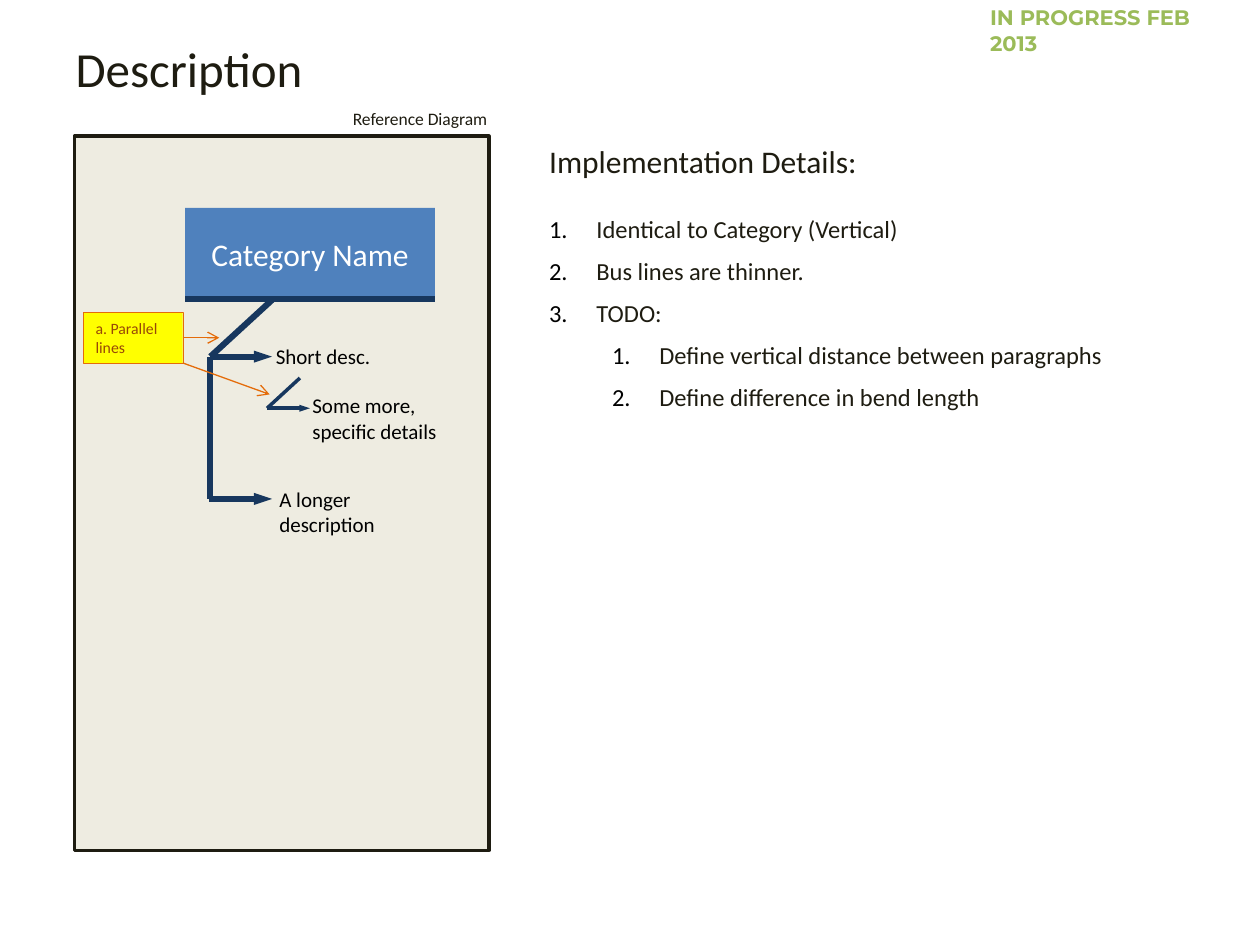
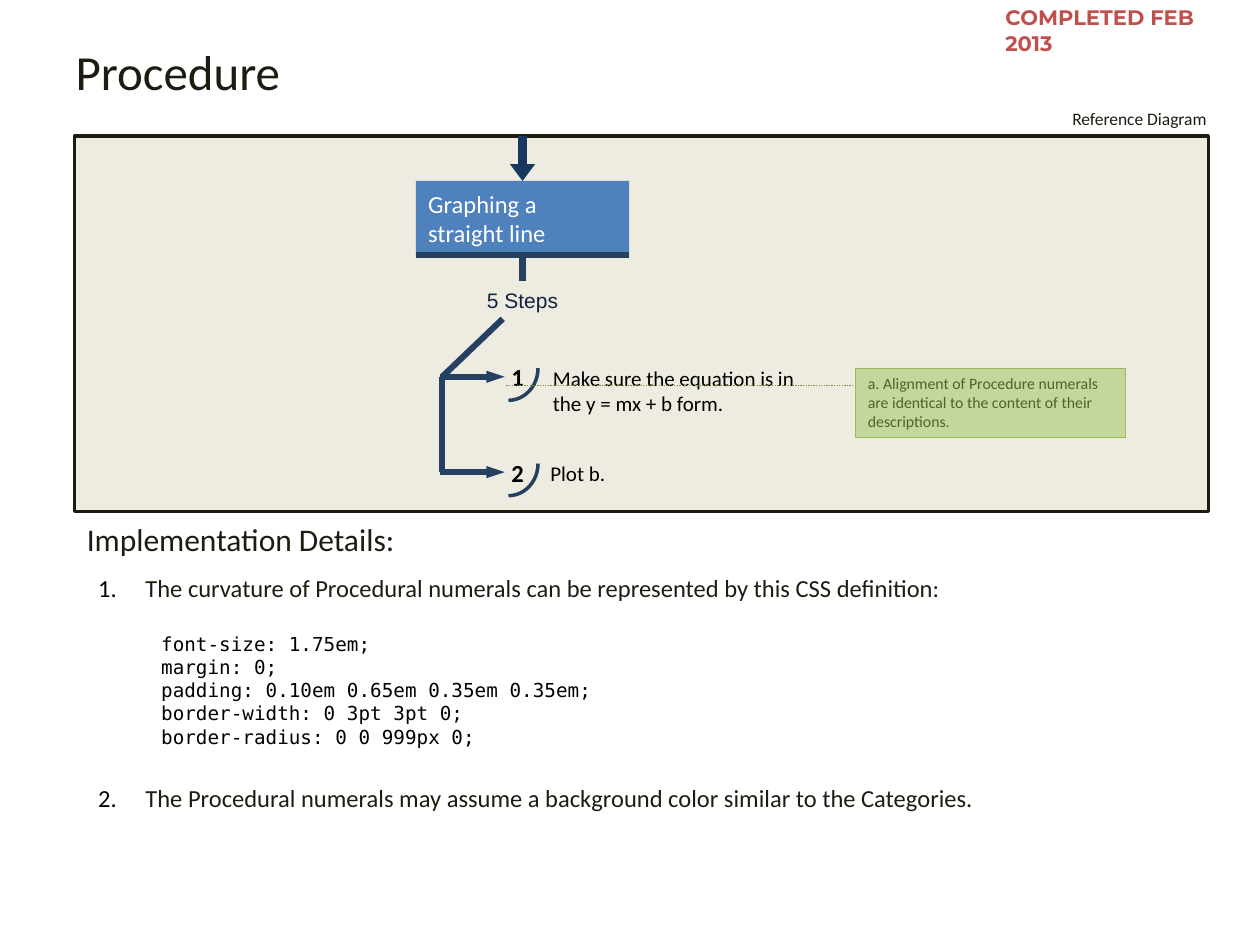
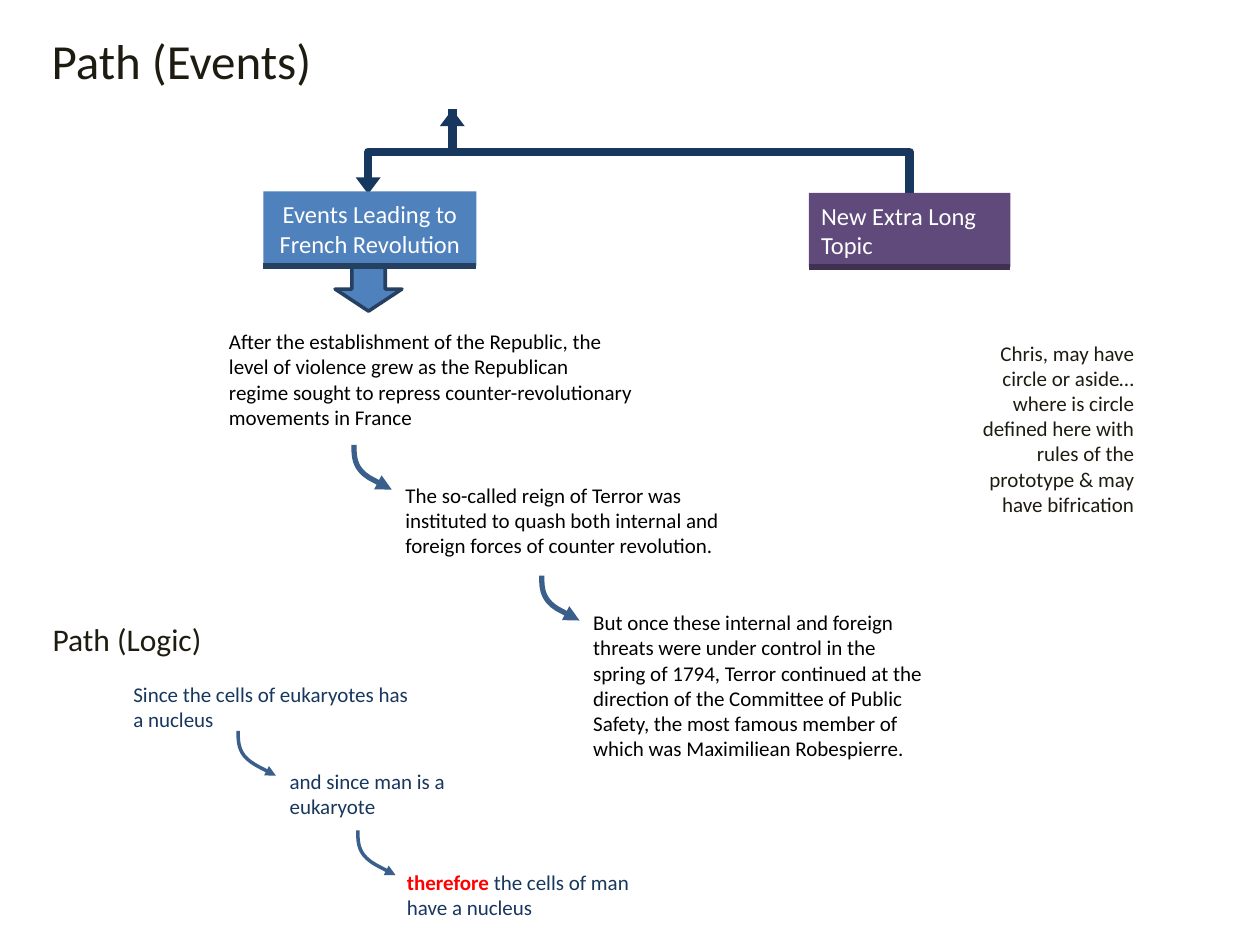
import pptx
import pptx.dml.color
import pptx.enum.dml
import pptx.enum.shapes
import pptx.enum.text
import pptx.oxml.ns
import pptx.util
from lxml import etree

Pt = pptx.util.Pt
SHAPE = pptx.enum.shapes.MSO_SHAPE
CONNECTOR = pptx.enum.shapes.MSO_CONNECTOR
ALIGN = pptx.enum.text.PP_ALIGN
ANCHOR = pptx.enum.text.MSO_ANCHOR
AUTO_SIZE = pptx.enum.text.MSO_AUTO_SIZE
qn = pptx.oxml.ns.qn

INK, PAPER, BLACK, WHITE = "1E1C11", "EEECE1", "000000", "FFFFFF"
NAVY, STEEL, CURVE, BLUE = "17375E", "254061", "3A5F8B", "4F81BD"
PURPLE, PLUM, ORANGE, RED = "604A7B", "403152", "E46C0A", "FF0000"
BODY, CODE = "Calibri", "DejaVu Sans Mono"
TOP, RIGHT, BOTTOM = 0, 3, 2
HAIRLINE = 0.1

# Arrowheads: type, width, length
SLIM = ("triangle", "sm", "med")
BROAD = ("triangle", "med", "sm")
FULL = ("triangle", "med", "med")
OPEN = ("arrow", "med", "med")

# Content: boxes are left, top, width, height
DESCRIPTION_DETAILS = [
    ("Identical to Category (Vertical)", 0),
    ("Bus lines are thinner.", 0),
    ("TODO:", 0),
    ("Define vertical distance between paragraphs", 1),
    ("Define difference in bend length", 1),
]
DESCRIPTIONS = [
    ("Some more, specific details", (171.4, 221, 101.5, 33)),
    ("Short desc.", (150.5, 193, 98, 31)),
    ("A longer description", (152.6, 274.3, 100, 31)),
]
# Start, end, width, arrowhead
DESCRIPTION_BUS = [
    ((155.5, 171.4), (120.2, 203.8), 3.5, None),
    ((120.2, 203.8), (155.5, 203.8), 3.5, SLIM),
    ((120.2, 203.8), (120.2, 285.1), 3.5, None),
    ((119.5, 285.1), (155.5, 285.1), 3.5, SLIM),
    ((171.4, 216), (152.6, 233.3), 2, None),
    ((152.6, 233.3), (177.1, 233.3), 2, SLIM),
]

CSS_INTRO = "The curvature of Procedural numerals can be represented by this CSS definition:"
CSS_LINES = [
    "font-size: 1.75em;",
    "margin: 0;",
    "padding: 0.10em 0.65em 0.35em 0.35em;",
    "border-width: 0 3pt 3pt 0;",
    "border-radius: 0 0 999px 0;",
]
CSS_NOTE = "The Procedural numerals may assume a background color similar to the Categories."
# Text, left, width, height of the arrow leading to it
STEPS = [
    ("Make sure the equation is in the y = mx + b form.", 308.9, 159.8, 215.3),
    ("Plot b.", 307.4, 126, 269.8),
]
BUS_X = 252.7

EVENTS = [
    ("After the establishment of the Republic, the level of violence grew as the Republican "
     "regime sought to repress counter-revolutionary movements in France",
     (123.8, 184.3, 244.8, 64.8)),
    ("The so-called reign of Terror was instituted to quash both internal and foreign forces "
     "of counter revolution.\u00a0", (224.6, 272.2, 202.3, 50.4)),
    ("But once these internal and foreign threats were under control in the spring of 1794, "
     "Terror continued at the direction of the Committee of Public Safety, the most famous "
     "member of which was Maximiliean Robespierre.", (331.9, 344.9, 207.4, 93.6)),
]
PREMISES = [
    ("Since the cells of eukaryotes has a nucleus", (69.1, 382.3, 176.4, 42.5)),
    ("and since man is a eukaryote", (158.4, 430.6, 137.5, 46.1)),
]
CONCLUSION = ("therefore", " the cells of man have a nucleus")
ASIDE = ("Chris, may have circle or aside… where is circle defined here with rules of the "
         "prototype & may have bifrication")
EVENT_CURVES = [(202.3, 254.2), (309.6, 329)]
LOGIC_CURVES = [(136.1, 417.6), (204.5, 474.5)]
# Two Bézier segments, relative to the start
CURVE_POINTS = [(0, 5), (0, 10), (3.6, 14.4), (7.2, 18.6), (21.6, 25.6), (21.6, 25.6)]


def rgb(colour):
    return pptx.dml.color.RGBColor.from_string(colour)


def pts(*lengths):
    return [Pt(length) for length in lengths]


def style(font, size, colour, name=BODY, bold=None):
    font.size, font.name, font.bold = Pt(size), name, bold
    font.color.rgb = rgb(colour)


def paint(shape, fill=None, line=None, width=HAIRLINE):
    shape.shadow.inherit = False
    if fill:
        shape.fill.solid()
        shape.fill.fore_color.rgb = rgb(fill)
    else:
        shape.fill.background()
    if line:
        shape.line.color.rgb = rgb(line)
        shape.line.width = Pt(width)
    else:
        shape.line.fill.background()


def write(shape, text, size, colour, align=ALIGN.LEFT, anchor=ANCHOR.TOP, wrap=True,
          name=BODY, bold=None):
    frame = shape.text_frame
    frame.word_wrap = wrap
    frame.vertical_anchor = anchor
    frame.text = text
    frame.paragraphs[0].alignment = align
    style(frame.paragraphs[0].font, size, colour, name, bold)


def add_text(slide, box, text, size=12, colour=BLACK, **options):
    label = slide.shapes.add_textbox(*pts(*box))
    write(label, text, size, colour, **options)
    if not options.get("wrap", True):
        label.text_frame.auto_size = AUTO_SIZE.SHAPE_TO_FIT_TEXT
    return label


def add_box(slide, box, fill=None, line=None, width=HAIRLINE, preset=SHAPE.RECTANGLE):
    shape = slide.shapes.add_shape(preset, *pts(*box))
    paint(shape, fill, line, width)
    return shape


def add_head(line, head):
    kind, width, length = head
    etree.SubElement(line._get_or_add_ln(), qn("a:tailEnd"), type=kind, w=width, len=length)


def add_line(slide, start, end, colour, width, head=None, kind=CONNECTOR.STRAIGHT):
    link = slide.shapes.add_connector(kind, *pts(*start, *end))
    link.line.color.rgb = rgb(colour)
    link.line.width = Pt(width)
    if head:
        add_head(link.line, head)
    etree.SubElement(link._element.spPr, qn("a:effectLst"))
    return link


def add_vertical_elbow(slide, start, end):
    """An elbow leaving vertically: a horizontal one turned by 90 degrees about its centre."""
    (x1, y1), (x2, y2) = start, end
    middle_x, middle_y = (x1 + x2) / 2, (y1 + y2) / 2
    turned = [(middle_x + y - middle_y, middle_y - x + middle_x) for x, y in (start, end)]
    elbow = add_line(slide, *turned, NAVY, 4.75, BROAD, CONNECTOR.ELBOW)
    elbow._element.spPr.find(qn("a:xfrm")).set("rot", str(90 * 60000))


def add_curve(slide, start, width):
    """An arrow whose outline points become the control points of two Bézier segments."""
    x, y = start
    builder = slide.shapes.build_freeform(*pts(x, y))
    builder.add_line_segments([pts(x + dx, y + dy) for dx, dy in CURVE_POINTS], close=False)
    curve = builder.convert_to_shape()
    paint(curve, line=CURVE, width=width)
    add_head(curve.line, FULL)
    outline = next(curve._element.iter(qn("a:path")))
    steps = outline.findall(qn("a:lnTo"))
    for first in range(0, len(steps), 3):
        bend = etree.SubElement(outline, qn("a:cubicBezTo"))
        for step in steps[first:first + 3]:
            bend.append(step[0])
            outline.remove(step)


def add_topic(slide, box, text, fill=BLUE, rule=STEEL, rule_width=3.75, size=14,
              align=ALIGN.LEFT):
    left, top, width, height = box
    topic = add_box(slide, box, fill)
    write(topic, text, size, WHITE, align, ANCHOR.MIDDLE)
    bottom = top + height
    add_line(slide, (left, bottom), (left + width, bottom), rule, rule_width)
    return topic


def add_callout(slide, box, text, fill, line, colour):
    callout = add_box(slide, box, fill, line)
    write(callout, text, 9, colour)
    return callout


def add_item(frame, text, number=1, level=0, spacing=None):
    """A numbered paragraph, in the first paragraph while that one is empty."""
    item = frame.paragraphs[0] if not frame.text else frame.add_paragraph()
    item.text, item.level = text, level
    props = item._p.get_or_add_pPr()
    props.set("marL", str(Pt(27 + 36 * level)))
    props.set("indent", str(-Pt(27)))
    colour = etree.SubElement(props, qn("a:buClr"))
    etree.SubElement(colour, qn("a:srgbClr"), val=BLACK)
    bullet = etree.SubElement(props, qn("a:buAutoNum"), type="arabicPeriod")
    if number > 1:
        bullet.set("startAt", str(number))
    style(item.font, 14, INK)
    if spacing:
        item.line_spacing = Pt(spacing)
    return item


def add_slide(deck, title, left=36, top=21.6, spacing=0.9):
    slide = deck.slides.add_slide(deck.slide_layouts[5])
    heading = slide.shapes.title
    heading.left, heading.top, heading.width, heading.height = pts(left, top, 654.5, 38.2)
    write(heading, title, 28, INK, anchor=ANCHOR.MIDDLE)
    heading.text_frame.auto_size = AUTO_SIZE.NONE
    heading.text_frame.paragraphs[0].line_spacing = spacing
    return slide


def add_reference(slide, width, height, heading_at, status, status_box, status_colour):
    """The framed diagram area with its caption, details heading and status."""
    add_box(slide, (42.5, 77.8, width, height), PAPER, INK, 2)
    add_text(slide, (42.5 + width - 110, 58.3, 116, 19.4), "Reference Diagram", 10, INK,
             align=ALIGN.RIGHT)
    add_text(slide, (*heading_at, 240, 28.8), "Implementation Details:", 18, INK)
    add_text(slide, status_box, status, 12, status_colour, wrap=False, name="Montserrat",
             bold=True)


def build_description(deck):
    slide = add_slide(deck, "Description")
    add_reference(slide, 236.9, 408.2, (306.7, 77.8), "IN PROGRESS FEB 2013",
                  (558.7, -0.7, 148.3, 21.6), "9BBB59")
    details = add_text(slide, (306.7, 111.6, 398.2, 127.4), "").text_frame
    for text, level in DESCRIPTION_DETAILS:
        add_item(details, text, level=level, spacing=24)
    for text, box in DESCRIPTIONS:
        add_text(slide, box, text)
    for start, end, width, head in DESCRIPTION_BUS:
        add_line(slide, start, end, NAVY, width, head)
    add_topic(slide, (105.8, 118.8, 142.8, 52.2), "Category Name", rule=NAVY, rule_width=3.5,
              size=18, align=ALIGN.CENTER)
    callout = add_callout(slide, (47.5, 178.6, 56.9, 28.8), "a. Parallel lines",
                          "FFFF00", ORANGE, "984807")
    pointer = add_line(slide, (104.4, 193), (125.3, 193), ORANGE, 0.75, OPEN)
    pointer.begin_connect(callout, RIGHT)
    add_line(slide, (104.4, 207.4), (154.1, 225.4), ORANGE, 0.75, OPEN)


def build_procedure(deck):
    slide = add_slide(deck, "Procedure", spacing=1.0)
    add_reference(slide, 648, 214.6, (42.5, 293.8), "COMPLETED FEB 2013",
                  (567.4, -0.7, 141.1, 21.6), "C0504D")
    details = add_text(slide, (49, 324, 653.8, 144), "").text_frame
    add_item(details, CSS_INTRO).space_after = Pt(17)
    for text in CSS_LINES:
        code = details.add_paragraph()
        code.text = text
        code._p.get_or_add_pPr().set("marL", str(Pt(36)))
        style(code.font, 11, BLACK, CODE)
    code.space_after = Pt(13)
    add_item(details, CSS_NOTE, number=2, spacing=24)

    first_y, last_y = STEPS[0][-1], STEPS[-1][-1]
    add_line(slide, (287.3, 182.2), (BUS_X, first_y), STEEL, 3.5)
    add_line(slide, (BUS_X, first_y), (BUS_X, last_y), STEEL, 3.5)
    for number, (text, left, width, y) in enumerate(STEPS, 1):
        add_text(slide, (left, y - 10.1, width, 33), text)
        add_text(slide, (285.1, y - 11.8, 23, 31), str(number), 14, bold=True)
        add_line(slide, (BUS_X - 1, y), (288.4, y), STEEL, 3.5, SLIM)
        arc = add_box(slide, (272.2, y - 21.8, 36.7, 33.8), line=STEEL, width=2,
                      preset=SHAPE.ARC)
        arc.rotation = 90
    guide = add_line(slide, (289.4, 220.3), (488.9, 220.3), "77933C", 0.75)
    guide.line.dash_style = pptx.enum.dml.MSO_LINE.ROUND_DOT
    add_callout(slide, (488.9, 210.2, 154.1, 39.6),
                "a. Alignment of Procedure numerals are identical to the content of their "
                "descriptions.", "C3D69B", "9BBB59", "4F6228")

    topic = add_topic(slide, (237.6, 103.4, 122, 42.2), "Graphing a straight line")
    count = add_text(slide, (263.6, 160.6, 70, 21.6), "5 Steps", 12, "10243E",
                     align=ALIGN.CENTER, name="Arial")
    stem = add_line(slide, (298.6, 160.6), (298.6, 145.6), STEEL, 3.75)
    stem.begin_connect(count, TOP)
    stem.end_connect(topic, BOTTOM)
    entry = add_line(slide, (298.6, 77.8), (298.6, 103.4), NAVY, 4.75, BROAD)
    entry.end_connect(topic, TOP)


def build_path(deck):
    slide = add_slide(deck, "Path (Events)", 22.3, 17.3)
    add_text(slide, (542.2, 190.8, 113, 108), ASIDE, 12, INK, align=ALIGN.RIGHT)
    for text, box in EVENTS:
        add_text(slide, box, text)
    for starts, width in ((EVENT_CURVES, 3), (LOGIC_CURVES, 2)):
        for start in starts:
            add_curve(slide, start, width)

    add_text(slide, (23, 350.6, 99.4, 28.8), "Path (Logic)", 18, INK, wrap=False)
    for text, box in PREMISES:
        add_text(slide, box, text, 12, NAVY, anchor=ANCHOR.MIDDLE)
    therefore, claim = CONCLUSION
    conclusion = add_text(slide, (225.4, 488.2, 159.8, 46.1), therefore, 12, NAVY,
                          anchor=ANCHOR.MIDDLE).text_frame.paragraphs[0]
    style(conclusion.runs[0].font, 12, RED, bold=True)
    conclusion.add_run().text = claim

    add_vertical_elbow(slide, (258.5, 62.6), (210.4, 110.9))
    add_vertical_elbow(slide, (519.8, 110.9), (258.5, 62.6))
    add_topic(slide, (462.2, 110.2, 115.2, 42.5), "New Extra Long Topic", PURPLE, PLUM)
    add_topic(slide, (150.5, 109.4, 121.7, 42.5), "Events Leading to French Revolution",
              align=ALIGN.CENTER)
    add_box(slide, (191.5, 152.6, 38.2, 25.2), BLUE, STEEL, 2, SHAPE.DOWN_ARROW)


def main():
    deck = pptx.Presentation()
    deck.slide_width, deck.slide_height = pts(720, 540)
    build_description(deck)
    build_procedure(deck)
    build_path(deck)
    deck.save("out.pptx")


if __name__ == "__main__":
    main()
